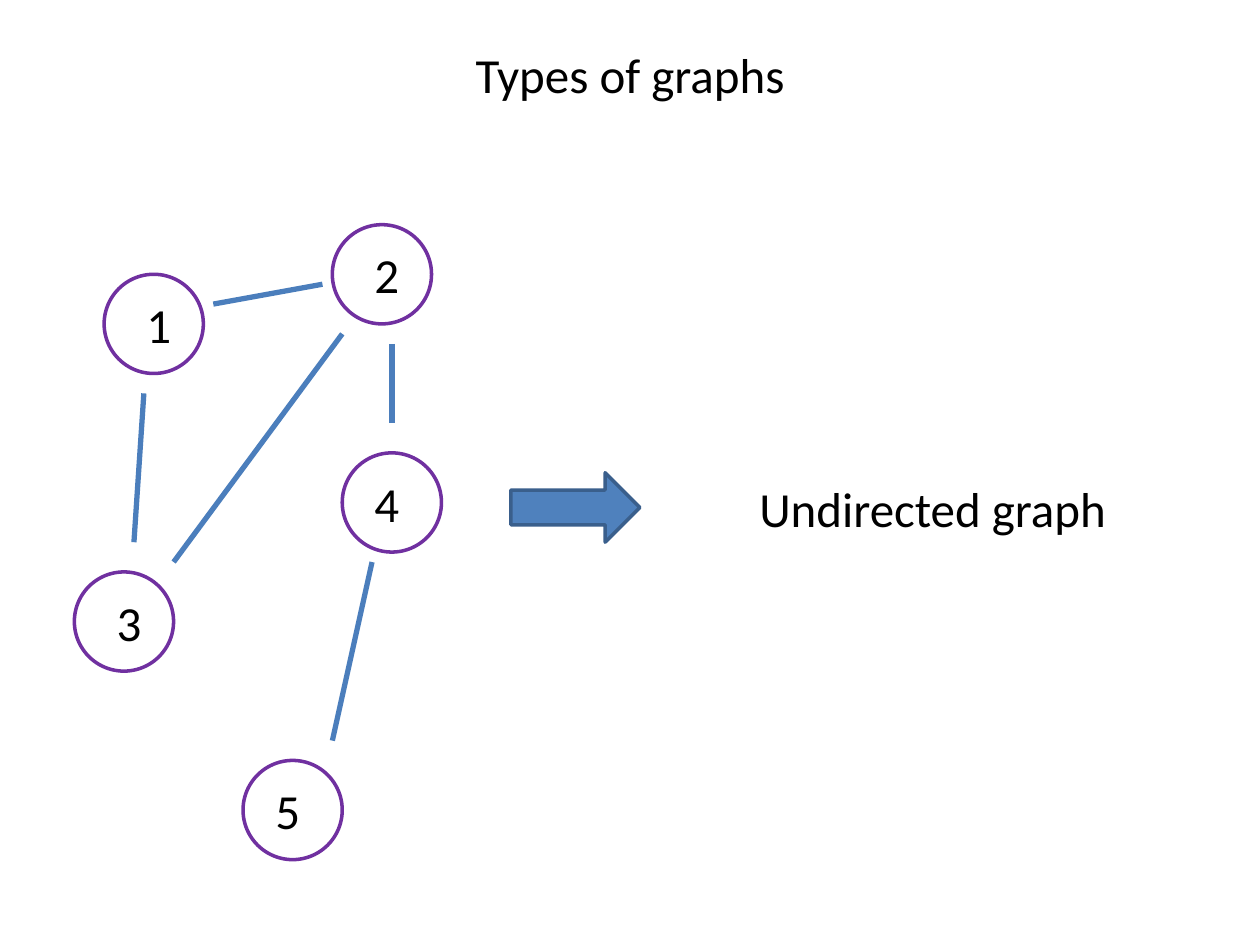
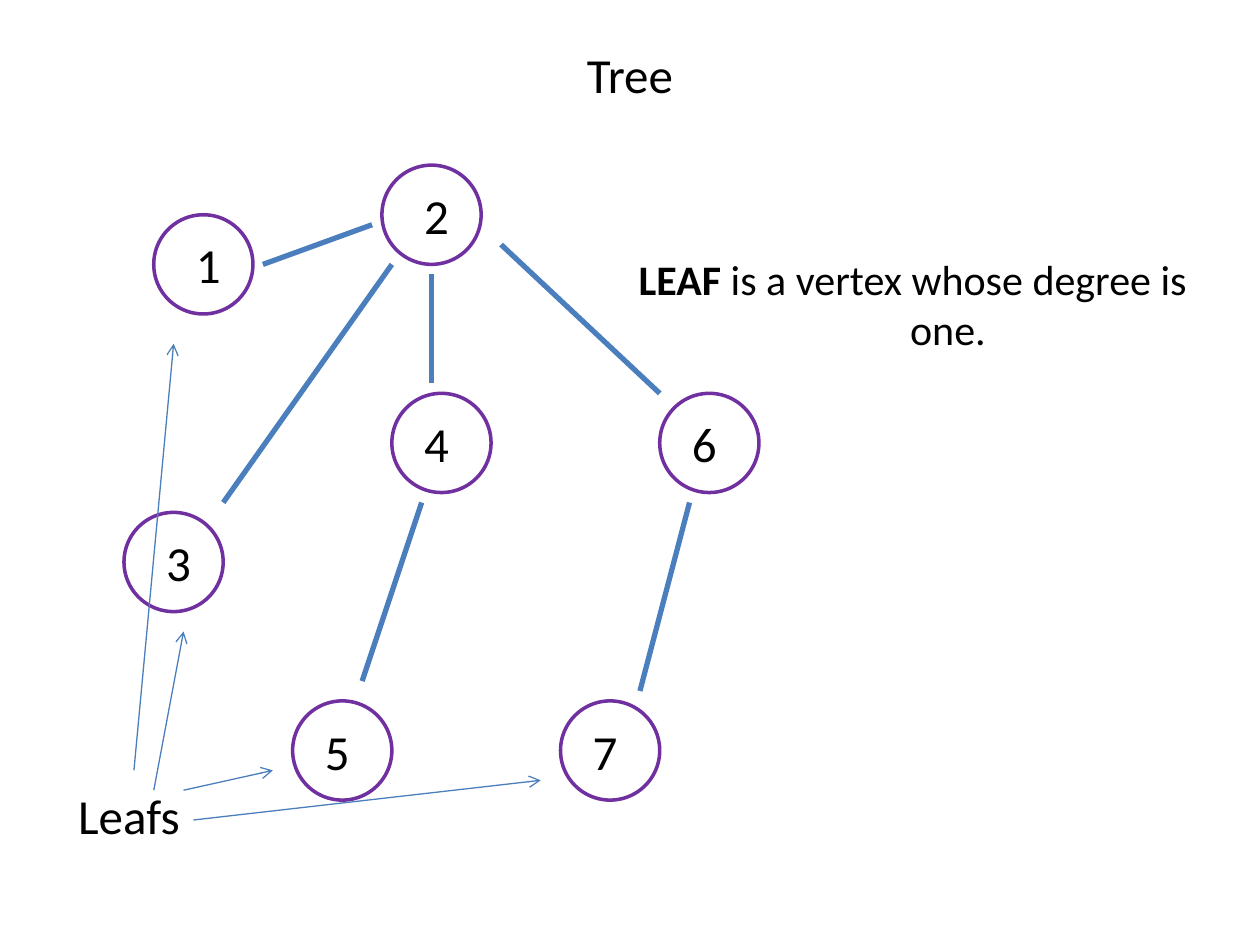
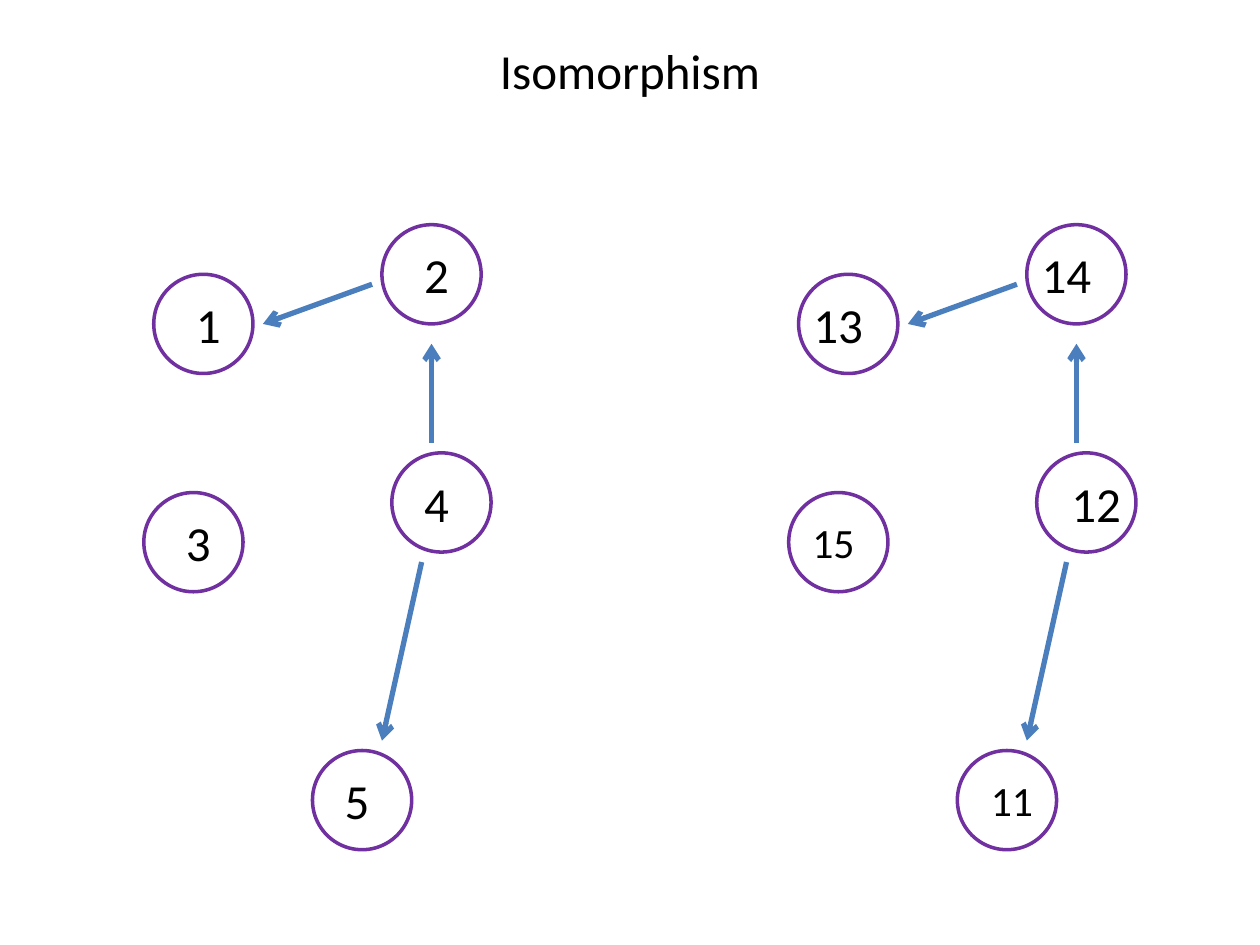
from dataclasses import dataclass

from lxml.etree import SubElement
from pptx import Presentation
from pptx.dml.color import RGBColor
from pptx.enum.shapes import MSO_CONNECTOR as Connector, MSO_SHAPE as Shape
from pptx.enum.text import MSO_ANCHOR as Anchor, PP_ALIGN as Align
from pptx.oxml.ns import qn
from pptx.util import Cm, Pt


@dataclass(frozen=True)
class Theme:
    font: str = "Calibri"
    text: RGBColor = RGBColor(0, 0, 0)
    node_fill: RGBColor = RGBColor(255, 255, 255)
    node_line: RGBColor = RGBColor.from_string("7030A0")
    edge: RGBColor = RGBColor.from_string("4B7EBC")
    arrow_fill: RGBColor = RGBColor.from_string("4F81BD")
    arrow_line: RGBColor = RGBColor.from_string("3A5F8C")
    body_size: float = 28
    note_size: float = 24
    small_size: float = 23.8
    outline: float = 2
    edge_width: float = 3
    pointer_width: float = 0.75
    node_diameter: float = 2


theme = Theme()


def add_label(slide, text, left, top, width, height, size=theme.body_size):
    box = slide.shapes.add_textbox(Cm(left), Cm(top), Cm(width), Cm(height))
    frame = box.text_frame
    frame.word_wrap = width > theme.node_diameter
    frame.vertical_anchor = Anchor.MIDDLE
    paragraph = frame.paragraphs[0]
    paragraph.alignment = Align.CENTER
    properties = paragraph._p.get_or_add_pPr()
    properties.set("marL", str(Cm(1.42)))
    properties.set("indent", str(-Cm(1.42)))
    paragraph.font.name = theme.font
    paragraph.font.size = Pt(size)
    paragraph.font.color.rgb = theme.text
    paragraph.add_run().text = text
    return paragraph


def add_edge(slide, start, end, shift=0, width=theme.edge_width, directed=False):
    connector = slide.shapes.add_connector(
        Connector.STRAIGHT,
        Cm(start[0] + shift), Cm(start[1]), Cm(end[0] + shift), Cm(end[1]),
    )
    connector.line.color.rgb = theme.edge
    connector.line.width = Pt(width)
    properties = connector._element.spPr
    if directed:
        SubElement(properties.find(qn("a:ln")), qn("a:tailEnd")).set("type", "arrow")
    SubElement(properties, qn("a:effectLst"))


presentation = Presentation()
presentation.slide_width = Cm(25.4)
presentation.slide_height = Cm(19.05)

slides = []
for title, top in (("Types of graphs", 0), ("Tree", 0), ("Isomorphism", -0.08)):
    slide = presentation.slides.add_slide(presentation.slide_layouts[6])
    add_label(slide, title, 0, top, 25.4, 3)
    slides.append(slide)
types_slide, tree_slide, isomorphism_slide = slides

types_nodes = [
    ("1", 2.1, 5.53, 0.6),
    ("2", 6.7, 4.53, 0.6),
    ("3", 1.5, 11.53, 0.6),
    ("4", 6.9, 9.13, 0.4),
    ("5", 4.9, 15.33, 0.4),
]
types_edges = [
    ((6.5, 5.73), (4.3, 6.13)),
    ((2.9, 7.93), (2.7, 10.93)),
    ((3.5, 11.33), (6.9, 6.73)),
    ((7.9, 6.93), (7.9, 8.53)),
    ((7.5, 11.33), (6.7, 14.93)),
]
tree_nodes = [
    ("1", 3.1, 4.33, 0.6),
    ("2", 7.7, 3.33, 0.6),
    ("3", 2.5, 10.33, 0.6),
    ("4", 7.9, 7.93, 0.4),
    ("5", 5.9, 14.13, 0.4),
    ("6", 13.3, 7.93, 0.4),
    ("7", 11.3, 14.13, 0.4),
]
tree_edges = [
    ((7.5, 4.53), (5.3, 5.33)),
    ((4.5, 10.13), (7.9, 5.33)),
    ((8.7, 5.53), (8.7, 7.73)),
    ((8.5, 10.13), (7.3, 13.73)),
    ((13.9, 10.13), (12.9, 13.93)),
    ((10.1, 4.93), (13.3, 7.93)),
]
first_nodes = [
    ("1", 3.1, 5.53, 0.6),
    ("2", 7.7, 4.53, 0.6),
    ("3", 2.9, 9.93, 0.6),
    ("4", 7.9, 9.13, 0.4),
    ("5", 6.3, 15.13, 0.4),
]
second_labels = [
    ("13", 0, 1.6, theme.body_size),
    ("14", 0, 1.6, theme.body_size),
    ("15", 0.2, 1.4, theme.small_size),
    ("12", 0.4, 1.6, theme.body_size),
    ("11", 0.4, 1.4, theme.small_size),
]
second_nodes = [
    (text, left, top, inset, width, size)
    for (_, left, top, _), (text, inset, width, size) in zip(first_nodes, second_labels)
]
isomorphism_edges = [
    ((7.5, 5.73), (5.3, 6.53)),
    ((8.7, 8.93), (8.7, 6.93)),
    ((8.5, 11.33), (7.7, 14.93)),
]

graphs = [
    (types_slide, types_nodes, types_edges, 0, False),
    (tree_slide, tree_nodes, tree_edges, 0, False),
    (isomorphism_slide, first_nodes, isomorphism_edges, 0, True),
    (isomorphism_slide, second_nodes, isomorphism_edges, 13, True),
]
for slide, nodes, edges, shift, directed in graphs:
    for text, left, top, inset, *label_format in nodes:
        width, size = label_format or (1, theme.body_size)
        diameter = Cm(theme.node_diameter)
        node = slide.shapes.add_shape(
            Shape.OVAL, Cm(left + shift), Cm(top), diameter, diameter
        )
        node.shadow.inherit = False
        node.fill.solid()
        node.fill.fore_color.rgb = theme.node_fill
        node.line.color.rgb = theme.node_line
        node.line.width = Pt(theme.outline)
        add_label(slide, text, left + shift + inset, top + 0.2, width, 1.6, size)
    for start, end in edges:
        add_edge(slide, start, end, shift, directed=directed)

add_label(types_slide, "Undirected graph", 12.1, 8.73, 13.4, 3)
arrow = types_slide.shapes.add_shape(
    Shape.RIGHT_ARROW, Cm(10.3), Cm(9.53), Cm(2.6), Cm(1.4)
)
arrow.shadow.inherit = False
arrow.fill.solid()
arrow.fill.fore_color.rgb = theme.arrow_fill
arrow.line.color.rgb = theme.arrow_line
arrow.line.width = Pt(theme.outline)

leaf_pointers = [
    ((3.1, 15.93), (3.7, 12.73)),
    ((2.7, 15.53), (3.5, 6.93)),
    ((3.7, 15.93), (5.5, 15.53)),
    ((3.9, 16.53), (10.9, 15.73)),
]
for start, end in leaf_pointers:
    add_edge(tree_slide, start, end, width=theme.pointer_width, directed=True)
add_label(tree_slide, "Leafs", 0, 14.93, 5.2, 3)
definition = add_label(tree_slide, "LEAF ", 12.1, 4.22, 12.6, 3.8, theme.note_size)
definition.runs[0].font.bold = True
definition.add_run().text = "is a vertex whose degree is one."

presentation.save("out.pptx")
